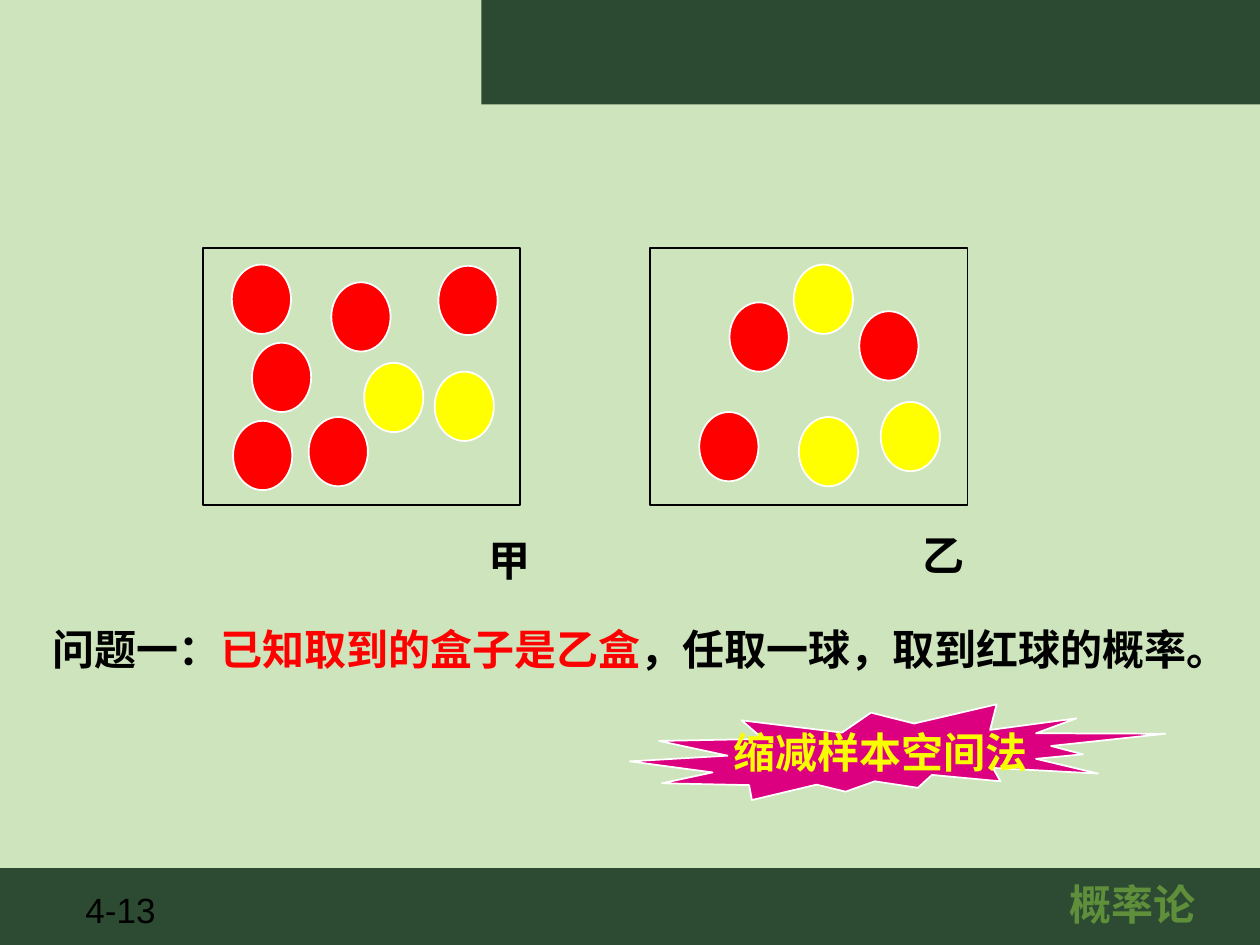
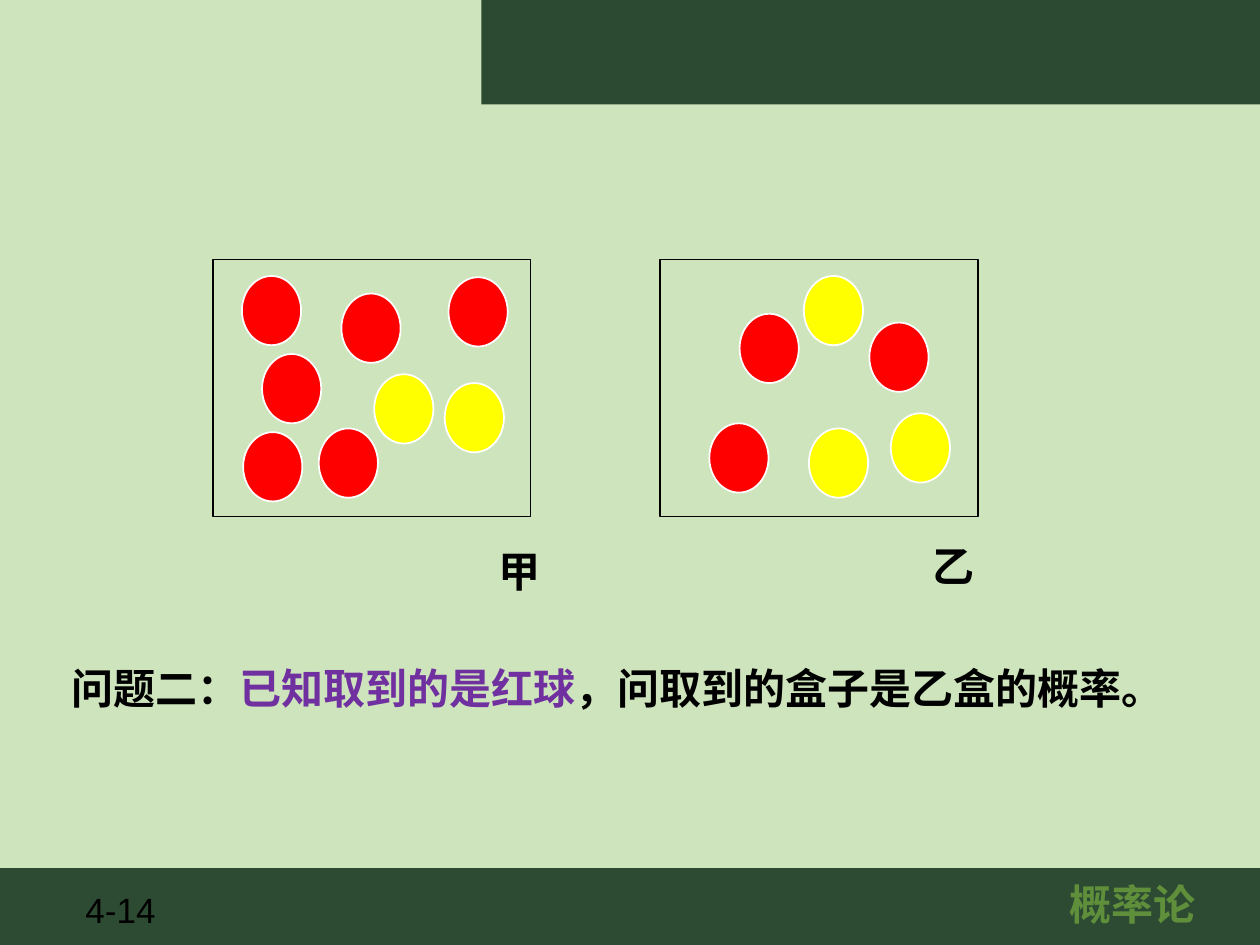
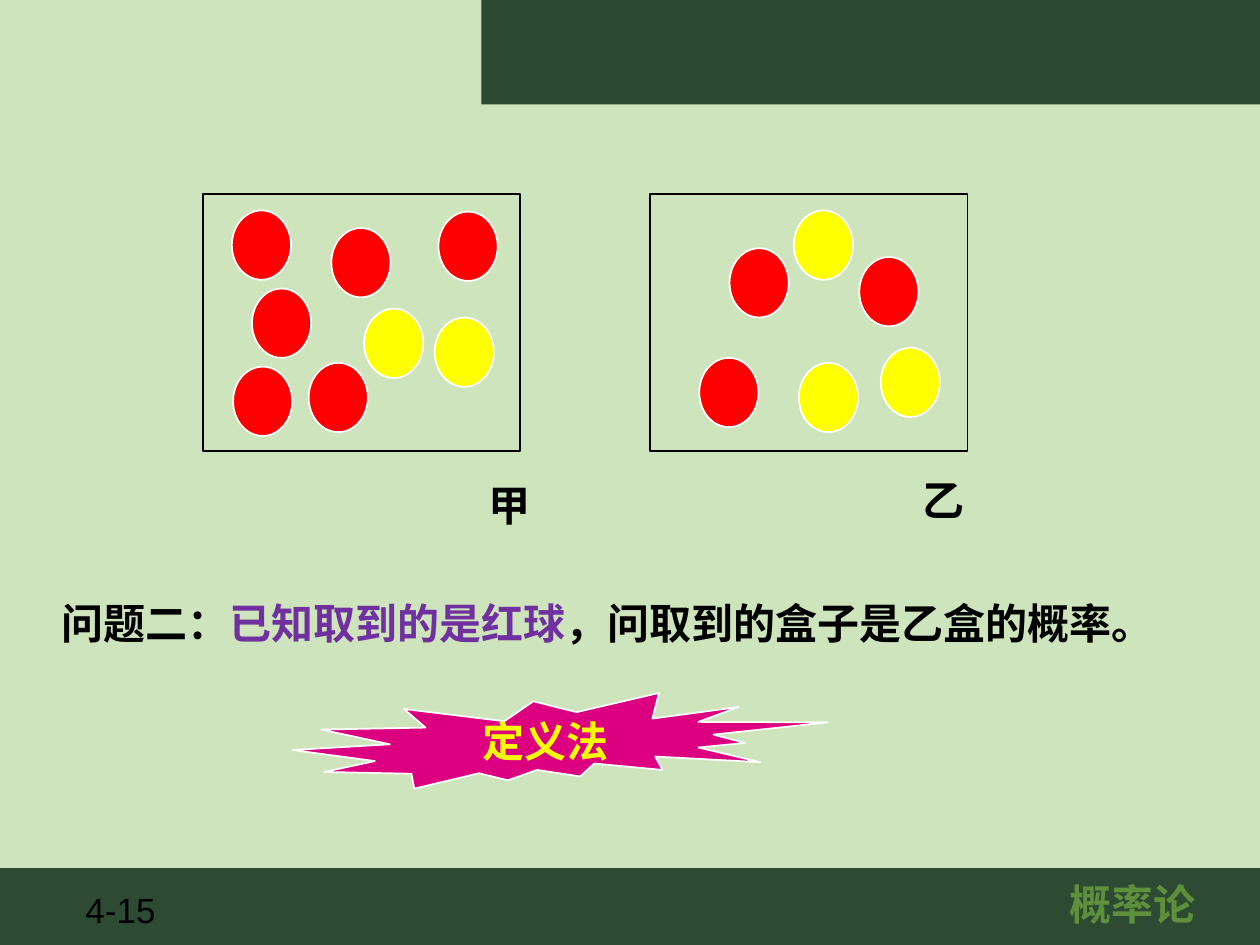
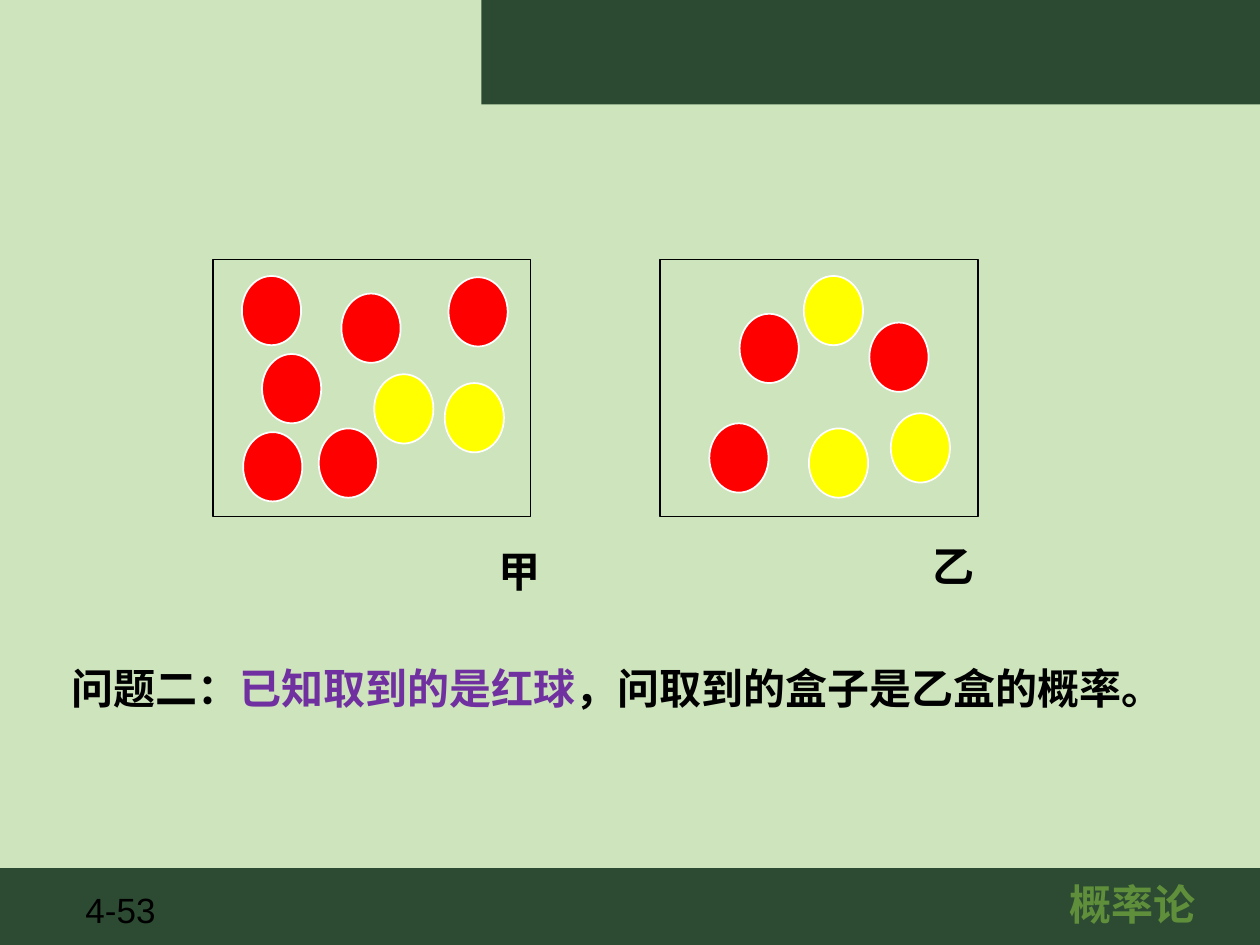
from dataclasses import dataclass

from pptx import Presentation
from pptx.dml.color import RGBColor
from pptx.enum.shapes import MSO_SHAPE
from pptx.enum.text import MSO_AUTO_SIZE, PP_ALIGN
from pptx.util import Inches, Pt


@dataclass(frozen=True)
class Theme:
    background: str = "CDE4BC"
    footer_band: str = "2D4B33"
    header_band: str = "2C4A32"
    course: str = "5F8F3B"
    ink: str = "000000"
    outline: str = "FFFFFF"
    red: str = "FF0000"
    yellow: str = "FFFF00"
    purple: str = "7030A0"
    burst: str = "DC0081"
    burst_text: str = "FAFD00"
    body_font: str = "Times New Roman"
    footer_font: str = "Arial"
    body_size: int = 24
    number_size: int = 20


THEME = Theme()
WIDTH, HEIGHT = Inches(10), Inches(7.5)
COLUMNS, ROWS = 100, 75

BOX_SIZE = (25.2, 20.4)
BOX_PITCH = 35.5
BALL_SIZE = (4.7, 5.5)
BURST_SIZE = (42.5, 7.6)
LINE_HEIGHT = 5

BOXES = [
    {
        "name": "甲",
        "label": (21.7, 22.2),
        THEME.red: [(2.3, 1.3), (10.2, 2.7), (3.9, 7.5), (18.7, 1.4), (2.4, 13.7), (8.4, 13.4)],
        THEME.yellow: [(18.4, 9.8), (12.8, 9.1)],
    },
    {
        "name": "乙",
        "label": (20.6, 21.8),
        THEME.red: [(6.3, 4.3), (16.6, 5), (3.9, 13)],
        THEME.yellow: [(18.3, 12.2), (11.8, 13.4), (11.4, 1.3)],
    },
]

QUESTION_ONE = [
    ("问题一：", THEME.ink),
    ("已知取到的盒子是乙盒", THEME.red),
    ("，任取一球，取到红球的概率。", THEME.ink),
]
QUESTION_TWO = [
    ("问题二：", THEME.ink),
    ("已知取到的是红球", THEME.purple),
    ("，问取到的盒子是乙盒的概率。", THEME.ink),
]


def place(column, row, columns, rows):
    return (
        round(WIDTH * column / COLUMNS),
        round(HEIGHT * row / ROWS),
        round(WIDTH * columns / COLUMNS),
        round(HEIGHT * rows / ROWS),
    )


def add_figure(slide, kind, area, fill=None, line=None):
    shape = slide.shapes.add_shape(kind, *place(*area))
    shape.shadow.inherit = False
    if fill:
        shape.fill.solid()
        shape.fill.fore_color.rgb = RGBColor.from_string(fill)
    else:
        shape.fill.background()
    if line:
        shape.line.color.rgb = RGBColor.from_string(line)
        shape.line.width = Pt(1)
    else:
        shape.line.fill.background()


def add_text(slide, area, pieces, font=THEME.body_font, size=THEME.body_size,
             bold=True, wrap=False, align=PP_ALIGN.LEFT):
    frame = slide.shapes.add_textbox(*place(*area)).text_frame
    frame.word_wrap = wrap
    frame.auto_size = MSO_AUTO_SIZE.SHAPE_TO_FIT_TEXT
    paragraph = frame.paragraphs[0]
    paragraph.alignment = align
    paragraph.font.name = font
    paragraph.font.size = Pt(size)
    paragraph.font.bold = bold
    for text, color in pieces:
        run = paragraph.add_run()
        run.text = text
        run.font.color.rgb = RGBColor.from_string(color)


def add_bands(slide, number):
    add_figure(slide, MSO_SHAPE.RECTANGLE, (0, 68.9, COLUMNS, 6.3), THEME.footer_band)
    add_text(slide, (5.8, 70, 7.8, 4.3), [(number, THEME.ink)],
             THEME.footer_font, THEME.number_size, bold=False, wrap=True)
    add_text(slide, (74.4, 69.2, 30.9, LINE_HEIGHT), [("概率论", THEME.course)],
             THEME.footer_font, wrap=True, align=PP_ALIGN.CENTER)
    add_figure(slide, MSO_SHAPE.RECTANGLE, (38.2, 0, 61.8, 8.3), THEME.header_band)


def add_ball_boxes(slide, left, top):
    for index, box in enumerate(BOXES):
        box_left = left + index * BOX_PITCH
        add_figure(slide, MSO_SHAPE.RECTANGLE, (box_left, top, *BOX_SIZE), line=THEME.ink)
        for color in (THEME.red, THEME.yellow):
            for column, row in box[color]:
                add_figure(slide, MSO_SHAPE.OVAL, (box_left + column, top + row, *BALL_SIZE),
                           color, THEME.outline)
        column, row = box["label"]
        add_text(slide, (box_left + column, top + row, 6.1, LINE_HEIGHT),
                 [(box["name"], THEME.ink)])


def add_burst(slide, left, top, method, text_left, text_width):
    add_figure(slide, MSO_SHAPE.EXPLOSION2, (left, top, *BURST_SIZE),
               THEME.burst, THEME.outline)
    add_text(slide, (text_left, top + 1.3, text_width, LINE_HEIGHT),
             [(method, THEME.burst_text)])


def add_problem(presentation, number, boxes_at, question, question_area, burst=None):
    slide = presentation.slides.add_slide(presentation.slide_layouts[6])
    add_bands(slide, number)
    add_ball_boxes(slide, *boxes_at)
    add_text(slide, (*question_area, LINE_HEIGHT), question)
    if burst:
        add_burst(slide, *burst)


def main():
    presentation = Presentation()
    presentation.slide_width, presentation.slide_height = WIDTH, HEIGHT
    background = presentation.slide_master.background.fill
    background.solid()
    background.fore_color.rgb = RGBColor.from_string(THEME.background)

    add_problem(presentation, "4-13", (16.1, 19.7), QUESTION_ONE, (3.2, 49, 96.1),
                (50, 55.9, "缩减样本空间法", 57.2, 25.3))
    add_problem(presentation, "4-14", (16.9, 20.6), QUESTION_TWO, (4.7, 52.1, 89.5))
    add_problem(presentation, "4-15", (16.1, 15.4), QUESTION_TWO, (3.9, 46.9, 89.5),
                (23.2, 55, "定义法", 37.3, 12))
    add_problem(presentation, "4-53", (16.9, 20.6), QUESTION_TWO, (4.7, 52.1, 89.5))
    presentation.save("out.pptx")


if __name__ == "__main__":
    main()
